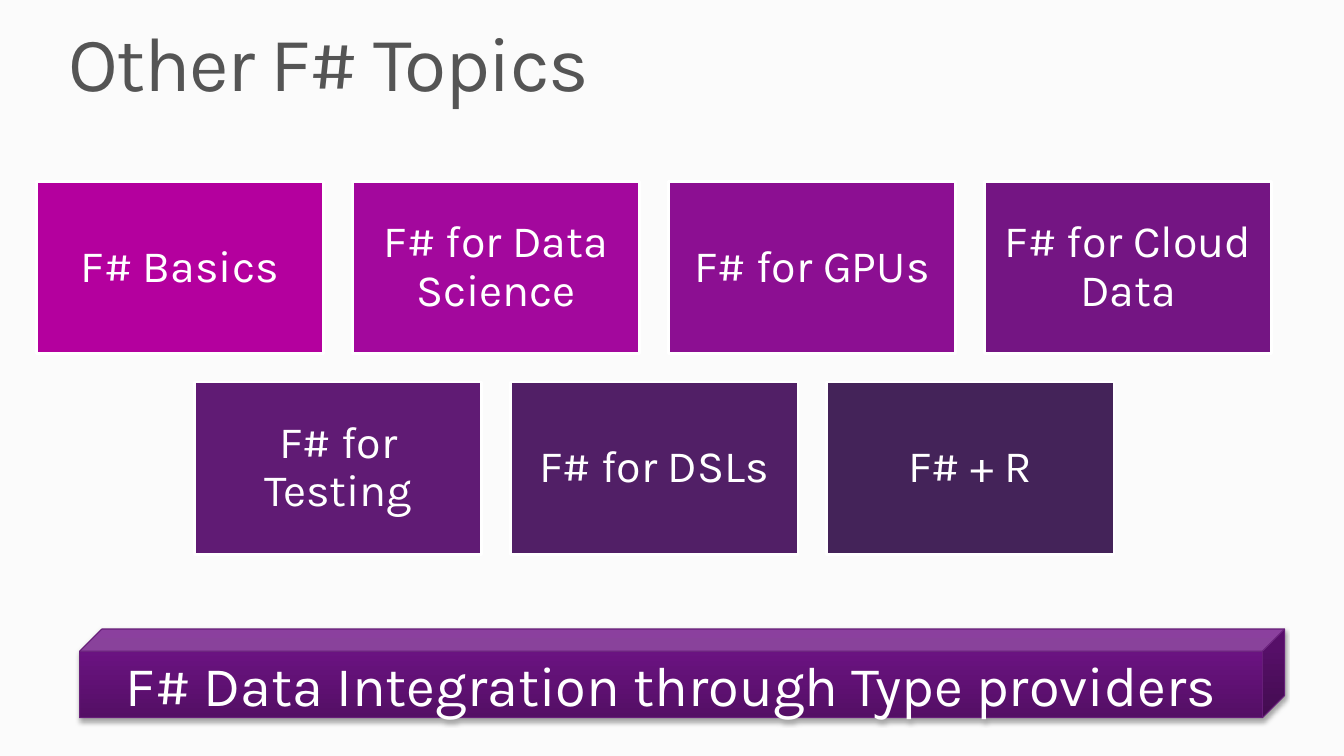
from pptx import Presentation
from pptx.dml.color import RGBColor
from pptx.enum import shapes, text
from pptx.oxml import parse_xml
from pptx.oxml.ns import nsdecls, qn
from pptx.util import Inches, Pt

FONT = "Karla"
BACKGROUND = RGBColor(0xFB, 0xFB, 0xFB)
WHITE = RGBColor(0xFF, 0xFF, 0xFF)
GREY = RGBColor(0x55, 0x55, 0x55)
CUBE_LINE = RGBColor(0x67, 0x1E, 0x79)
SHADOW = RGBColor(0, 0, 0)
CUBE_STOPS = [
    (0, RGBColor(0x54, 0x0F, 0x65)),
    (80, RGBColor(0x6C, 0x13, 0x83)),
    (100, RGBColor(0x6E, 0x11, 0x86)),
]

# Each row: left edge, top edge, topics with their fills
TOPIC_ROWS = [
    (0.36, 1.8, [
        ("F# Basics", RGBColor(0xB4, 0x00, 0x9E)),
        ("F# for Data Science", RGBColor(0xA3, 0x08, 0x9D)),
        ("F# for GPUs", RGBColor(0x8C, 0x0F, 0x92)),
        ("F# for Cloud Data", RGBColor(0x74, 0x15, 0x83)),
    ]),
    (1.93, 3.79, [
        ("F# for Testing", RGBColor(0x60, 0x1B, 0x74)),
        ("F# for DSLs", RGBColor(0x51, 0x1F, 0x66)),
        ("F# + R", RGBColor(0x44, 0x23, 0x59)),
    ]),
]
TILE_W, TILE_H, TILE_GAP = 2.85, 1.71, 0.285


def set_all(obj, formats):
    for name, value in formats.items():
        setattr(obj, name, value)


def write(sp, words, size, color, align, frame, spacing=None):
    """Put one formatted line of text into a shape."""
    tf = sp.text_frame
    set_all(tf, {"word_wrap": True, **frame})
    p = tf.paragraphs[0]
    set_all(p, {"alignment": align, "line_spacing": spacing})
    r = p.add_run()
    r.text = words
    set_all(r.font, {"name": FONT, "size": Pt(size)})
    r.font.color.rgb = color
    return r


def margins(side, top):
    return {"margin_left": Inches(side), "margin_right": Inches(side),
            "margin_top": Inches(top), "margin_bottom": Inches(top)}


def add_title(slide, words):
    sp = slide.shapes.title
    set_all(sp, {"left": Inches(0.68), "top": Inches(0.25),
                 "width": Inches(11.96), "height": Inches(0.83)})
    frame = {"vertical_anchor": text.MSO_ANCHOR.TOP,
             "auto_size": text.MSO_AUTO_SIZE.SHAPE_TO_FIT_TEXT, **margins(0, 0)}
    r = write(sp, words, 55, GREY, text.PP_ALIGN.LEFT, frame, 0.9)
    r.font._element.set("spc", "-100")


def add_tile(group, left, top, words, fill):
    sp = group.shapes.add_shape(shapes.MSO_SHAPE.RECTANGLE, Inches(left),
                                Inches(top), Inches(TILE_W), Inches(TILE_H))
    sp.shadow.inherit = False
    sp.fill.solid()
    sp.fill.fore_color.rgb = fill
    sp.line.color.rgb = WHITE
    sp.line.width = Pt(2)
    frame = {"vertical_anchor": text.MSO_ANCHOR.MIDDLE, **margins(0.13, 0.13)}
    write(sp, words, 32, WHITE, text.PP_ALIGN.CENTER, frame, 0.9)


def add_cube(slide, words):
    sp = slide.shapes.add_shape(shapes.MSO_SHAPE.CUBE, Inches(0.79),
                                Inches(6.24), Inches(11.95), Inches(0.88))
    sp.line.color.rgb = CUBE_LINE
    sp.line.width = Pt(0.75)
    sp.shadow.inherit = False

    # Three-stop gradient from bottom to top
    stops = "".join(f'<a:gs pos="{pos * 1000}"><a:srgbClr val="{color}"/></a:gs>'
                    for pos, color in CUBE_STOPS)
    spPr = sp._element.spPr
    spPr.find(qn("a:prstGeom")).addnext(parse_xml(
        f'<a:gradFill {nsdecls("a")} rotWithShape="1"><a:gsLst>{stops}</a:gsLst>'
        '<a:lin ang="16200000" scaled="0"/></a:gradFill>'))

    # Soft shadow straight below
    spPr.find(qn("a:effectLst")).append(parse_xml(
        f'<a:outerShdw {nsdecls("a")} blurRad="{Pt(3.1)}" dist="{Pt(1.8)}" '
        f'dir="5400000" rotWithShape="0"><a:srgbClr val="{SHADOW}">'
        '<a:alpha val="35000"/></a:srgbClr></a:outerShdw>'))

    frame = {"vertical_anchor": text.MSO_ANCHOR.MIDDLE, **margins(0.13, 0.07)}
    write(sp, words, 40, WHITE, text.PP_ALIGN.CENTER, frame)


def main():
    prs = Presentation()
    set_all(prs, {"slide_width": Inches(13.33), "slide_height": Inches(7.5)})
    slide = prs.slides.add_slide(prs.slide_layouts[5])
    slide.background.fill.solid()
    slide.background.fill.fore_color.rgb = BACKGROUND

    add_title(slide, "Other F# Topics")

    # Topic tiles
    group = slide.shapes.add_group_shape()
    for left, top, topics in TOPIC_ROWS:
        for i, (words, fill) in enumerate(topics):
            add_tile(group, left + i * (TILE_W + TILE_GAP), top, words, fill)

    # Base shared by all topics
    add_cube(slide, "F# Data Integration through Type providers")
    prs.save("out.pptx")


if __name__ == "__main__":
    main()
